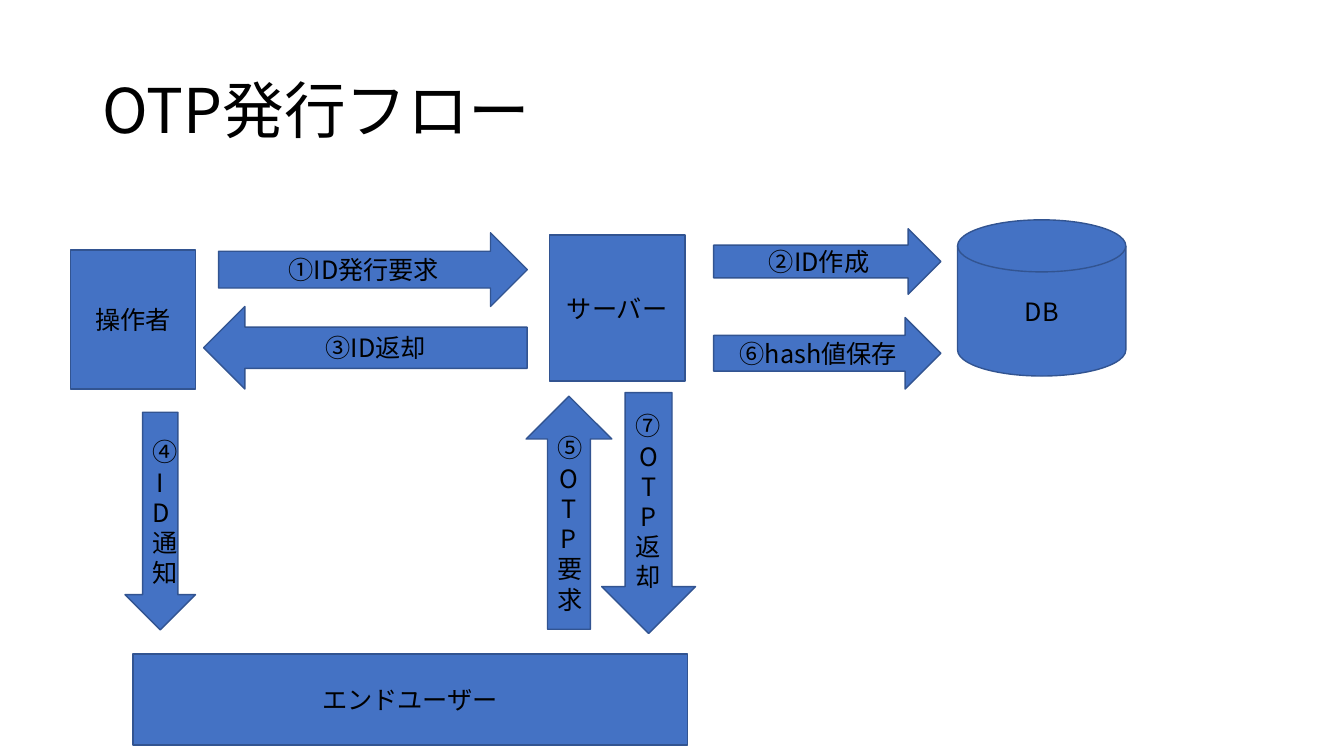
from lxml.etree import SubElement
from pptx import Presentation
from pptx.dml.color import RGBColor
from pptx.enum.shapes import MSO_SHAPE
from pptx.enum.text import MSO_ANCHOR, MSO_AUTO_SIZE, PP_ALIGN
from pptx.oxml.ns import qn
from pptx.util import Pt

FONT = "Noto Sans CJK JP"
COLORS = {"background": "FFFFFF", "text": "000000", "fill": "4472C4", "line": "325491"}

# Text, left, top, width, height in points
BOXES = [
    ("操作者", 50.4, 178.5, 89.3, 99.4),
    ("サーバー", 392.4, 167.8, 96.8, 104.4),
    ("エンドユーザー", 95, 467.3, 396, 64.8),
]
DATABASE = ("DB", 684, 157, 120.2, 111.6)
ARROWS = [
    (MSO_SHAPE.RIGHT_ARROW, "①ID発行要求", 156.2, 166.3, 220.5, 52.6),
    (MSO_SHAPE.RIGHT_ARROW, "②ID作成", 509.8, 163.4, 162.3, 46.8),
    (MSO_SHAPE.LEFT_ARROW, "③ID返却", 145.4, 218.9, 231.1, 59),
    (MSO_SHAPE.DOWN_ARROW, "④ID通知", 89.3, 294.5, 50.4, 155.5),
    (MSO_SHAPE.UP_ARROW, "⑤OTP要求", 375.8, 283, 61.2, 166.5),
    (MSO_SHAPE.RIGHT_ARROW, "⑥hash値保存", 509.8, 226.8, 162.3, 51.1),
    (MSO_SHAPE.DOWN_ARROW, "⑦OTP返却", 429.8, 280.4, 67, 172.1),
]


def color(name):
    """Return the named colour of the slide."""
    return RGBColor.from_string(COLORS[name])


def write_text(shape, text, size=18, align=PP_ALIGN.CENTER, line_spacing=None):
    """Put one formatted, vertically centred paragraph into a shape."""
    frame = shape.text_frame
    frame.word_wrap = True
    frame.auto_size = MSO_AUTO_SIZE.NONE
    frame.vertical_anchor = MSO_ANCHOR.MIDDLE
    paragraph = frame.paragraphs[0]
    paragraph.alignment = align
    paragraph.line_spacing = line_spacing
    run = paragraph.add_run()
    run.text = text
    run.font.size = Pt(size)
    run.font.color.rgb = color("text")
    run.font.name = FONT
    SubElement(run.font._element, qn("a:ea"), typeface=FONT)


def add_title(slide, text):
    """Place and fill the title placeholder."""
    title = slide.shapes.title
    title.left, title.top, title.width, title.height = Pt(66), Pt(28.8), Pt(828), Pt(104.4)
    write_text(title, text, size=44, align=PP_ALIGN.LEFT, line_spacing=0.9)


def add_node(slide, kind, text, left, top, width, height):
    """Add a labelled shape in the flow's common style."""
    shape = slide.shapes.add_shape(kind, Pt(left), Pt(top), Pt(width), Pt(height))
    shape.shadow.inherit = False
    shape.fill.solid()
    shape.fill.fore_color.rgb = color("fill")
    shape.line.color.rgb = color("line")
    shape.line.width = Pt(1)
    write_text(shape, text)


def main():
    """Build and save the OTP issuing flow."""
    presentation = Presentation()
    presentation.slide_width, presentation.slide_height = Pt(960), Pt(540)
    slide = presentation.slides.add_slide(presentation.slide_layouts[5])
    slide.background.fill.solid()
    slide.background.fill.fore_color.rgb = color("background")
    add_title(slide, "OTP発行フロー")
    for box in BOXES:
        add_node(slide, MSO_SHAPE.RECTANGLE, *box)
    add_node(slide, MSO_SHAPE.FLOWCHART_MAGNETIC_DISK, *DATABASE)
    for arrow in ARROWS:
        add_node(slide, *arrow)
    presentation.save("out.pptx")


main()
